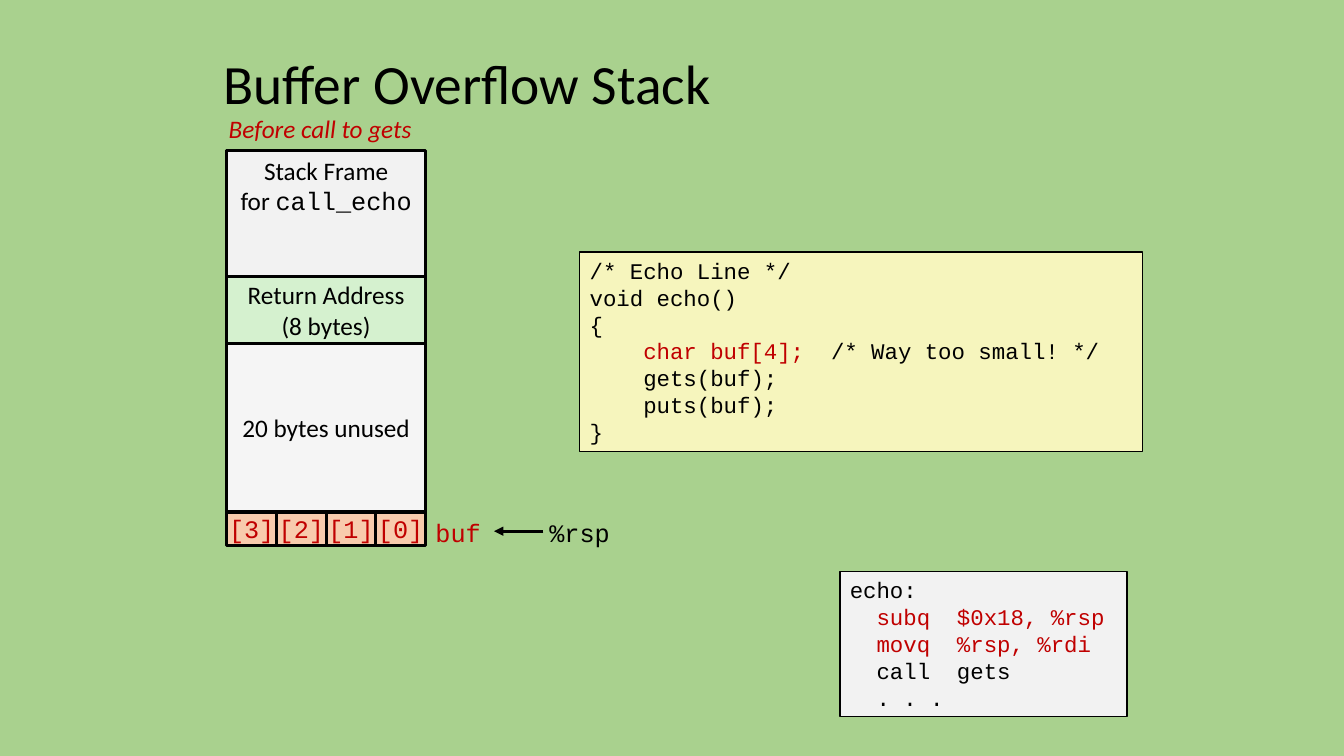
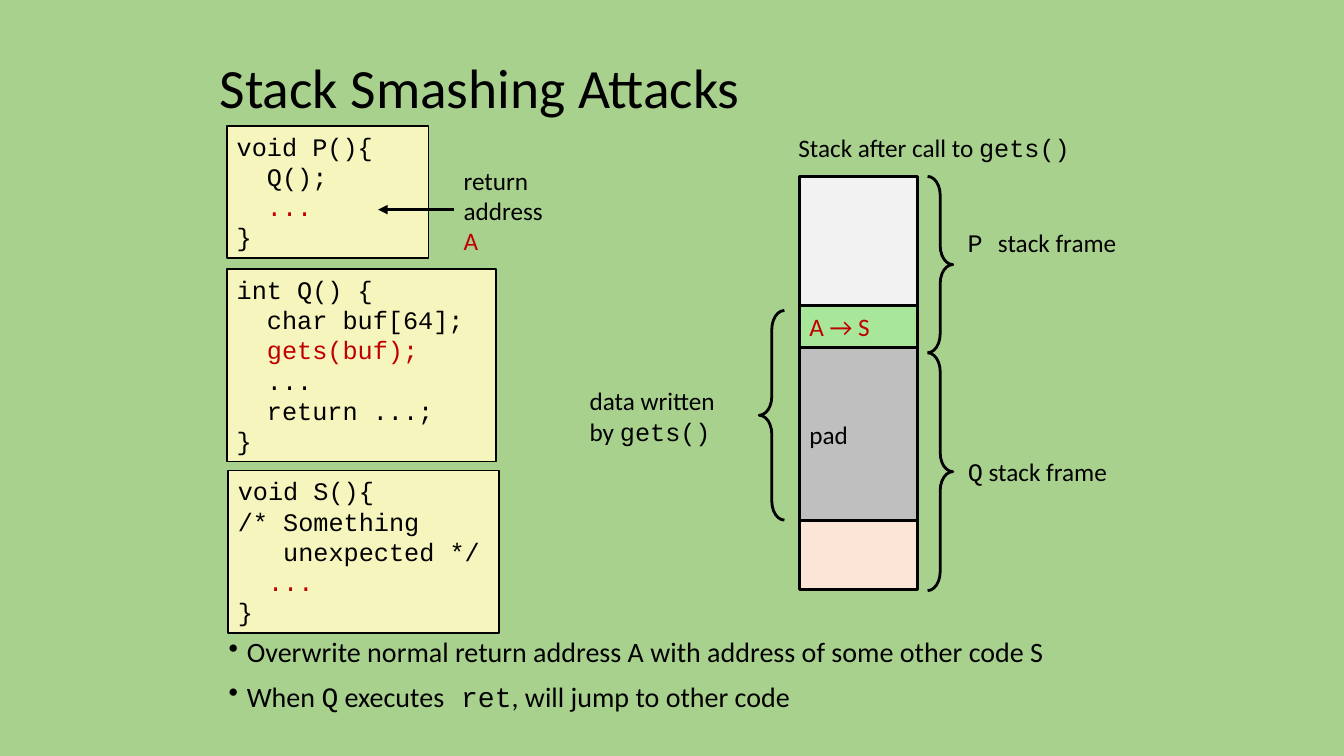
from lxml import etree
from pptx import Presentation
from pptx.dml.color import RGBColor
from pptx.enum.shapes import MSO_CONNECTOR as Connector, MSO_SHAPE as Shape
from pptx.enum.text import MSO_ANCHOR as Anchor, PP_ALIGN as Align
from pptx.oxml.ns import qn
from pptx.util import Inches, Pt

BLACK, RED = "000000", "C00000"
BACKGROUND, CODE_FILL, FRAME_FILL = "A9D18E", "F6F5BD", "F2F2F2"
SANS, MONO = "Calibri", "Courier New"


def rgb(value):
    """Turn a hex string into a colour."""
    return RGBColor.from_string(value)


def red(text):
    """Describe a red run."""
    return text, {"color": RED}


def mono(text):
    """Describe a run in the code font."""
    return text, {"font": MONO}


def write(shape, paragraphs, size=18, font=SANS, color=BLACK, italic=False,
          align=Align.LEFT, anchor=Anchor.TOP, wrap=False, spacing=None,
          before=None, bullet=False):
    """Fill a shape with paragraphs, each a string or a list of runs."""
    frame = shape.text_frame
    frame.word_wrap = wrap
    frame.vertical_anchor = anchor
    for index, runs in enumerate(paragraphs):
        paragraph = frame.paragraphs[0] if index == 0 else frame.add_paragraph()
        paragraph.alignment = align
        if spacing:
            paragraph.line_spacing = spacing
        if before:
            paragraph.space_before = Pt(before)
        if bullet:
            properties = paragraph._p.get_or_add_pPr()
            properties.set("marL", str(Inches(0.18)))
            properties.set("indent", str(-Inches(0.18)))
            etree.SubElement(properties, qn("a:buChar")).set("char", "•")
        for item in [runs] if isinstance(runs, str) else runs:
            text, changes = (item, {}) if isinstance(item, str) else item
            run = paragraph.add_run()
            run.text = text
            run.font.size = Pt(size)
            run.font.italic = italic
            run.font.name = changes.get("font", font)
            run.font.color.rgb = rgb(changes.get("color", color))


def add_label(slide, box, paragraphs, **text_format):
    """Add a text box."""
    label = slide.shapes.add_textbox(*map(Inches, box))
    write(label, paragraphs, **text_format)


def add_box(slide, box, fill, paragraphs=(), line=2.25, **text_format):
    """Add an outlined rectangle with text."""
    shape = slide.shapes.add_shape(Shape.RECTANGLE, *map(Inches, box))
    shape.shadow.inherit = False
    shape.fill.solid()
    shape.fill.fore_color.rgb = rgb(fill)
    shape.line.color.rgb = rgb(BLACK)
    shape.line.width = Pt(line)
    write(shape, paragraphs, **text_format)


def add_code(slide, box, lines, fill=CODE_FILL, size=18):
    """Add a thinly framed code listing."""
    add_box(slide, box, fill, lines, line=1, size=size, font=MONO, wrap=True)


def add_stack(slide, left, top, width, cells):
    """Pile up cells given as height, fill, paragraphs and text format."""
    for height, fill, paragraphs, text_format in cells:
        add_box(slide, (left, top, width, height), fill, paragraphs, **text_format)
        top += height


def add_brace(slide, kind, left, top, height):
    """Add a curly brace."""
    brace = slide.shapes.add_shape(
        kind, *map(Inches, (left, top, 0.25, height)))
    brace.shadow.inherit = False
    brace.fill.background()
    brace.line.color.rgb = rgb(BLACK)
    brace.line.width = Pt(2)
    brace.adjustments[0] = 0.75


def add_arrow(slide, start, end, y):
    """Add a horizontal arrow."""
    arrow = slide.shapes.add_connector(
        Connector.STRAIGHT, *map(Inches, (start, y, end, y)))
    arrow.line.color.rgb = rgb(BLACK)
    arrow.line.width = Pt(2.25)
    etree.SubElement(arrow.line._get_or_add_ln(), qn("a:tailEnd")).set("type", "triangle")
    etree.SubElement(arrow._element.spPr, qn("a:effectLst"))


def add_slide(presentation, title, left, top):
    """Add a green slide with its title."""
    slide = presentation.slides.add_slide(presentation.slide_layouts[6])
    slide.background.fill.solid()
    slide.background.fill.fore_color.rgb = rgb(BACKGROUND)
    add_label(slide, (left, top, 9.08, 0.63), [title], size=39.6,
              anchor=Anchor.MIDDLE, wrap=True, spacing=0.9)
    return slide


def add_echo_stack(slide, left, top, width):
    """Draw the stack before the call, with the buffer bytes below."""
    centered = {"align": Align.CENTER}
    middle = {"align": Align.CENTER, "anchor": Anchor.MIDDLE}
    add_label(slide, (left - 0.08, top - 0.41, 2.09, 0.4),
              ["Before call to gets"], color=RED, italic=True)
    add_stack(slide, left, top, width, [
        (1.25, FRAME_FILL, ["Stack Frame", ["for ", mono("call_echo")]], centered),
        (0.67, "D5F1CF", ["Return Address", "(8 bytes)"], middle),
        (1.67, "F5F5F5", ["20 bytes unused"], middle),
    ])
    row, right, byte_width = top + 3.59, left + width, width / 4
    for column in range(4):
        add_box(slide, (left + column * byte_width, row, byte_width, 0.33),
                "F8CBAD", [f"[{3 - column}]"], font=MONO, color=RED, **middle)
    add_label(slide, (right, row, 0.65, 0.4), ["buf"], font=MONO, color=RED)
    add_arrow(slide, right + 1.17, right + 0.68, row + 0.19)
    add_label(slide, (right + 1.13, row, 0.81, 0.4), ["%rsp"], font=MONO)


def add_smashed_stack(slide, left, top):
    """Draw the overwritten stack with its braces and labels."""
    middle = {"anchor": Anchor.MIDDLE}
    add_label(slide, (left - 0.11, top - 0.49, 2.93, 0.4),
              [["Stack after call to ", mono("gets()")]])
    add_stack(slide, left, top, 1.17, [
        (1.28, FRAME_FILL, [], {}),
        (0.42, "A8E799", ["A → S"], {"color": RED, **middle}),
        (1.71, "BFBFBF", ["pad"], middle),
        (0.69, "FBE5D6", [], {}),
    ])
    add_brace(slide, Shape.RIGHT_BRACE, left + 1.27, top, 1.75)
    add_brace(slide, Shape.RIGHT_BRACE, left + 1.27, top + 1.75, 2.36)
    add_brace(slide, Shape.LEFT_BRACE, left - 0.4, top + 1.33, 2.08)
    add_label(slide, (left + 1.57, top + 0.46, 1.7, 0.4),
              [[mono("P "), "stack frame"]], **middle)
    add_label(slide, (left + 1.57, top + 2.73, 1.61, 0.4),
              [[mono("Q"), " stack frame"]], **middle)
    add_label(slide, (left - 2.18, top + 2.02, 1.5, 0.71),
              ["data written", ["by ", mono("gets()")]], wrap=True, **middle)


def build_overflow(presentation):
    """Build the buffer overflow slide."""
    slide = add_slide(presentation, "Buffer Overflow Stack", 2.12, 0.54)
    add_echo_stack(slide, 2.25, 1.49, 1.97)
    add_code(slide, (5.75, 2.5, 5.58, 1.98), [
        "/* Echo Line */",
        "void echo()",
        "{",
        ["    ", red("char buf[4];  "), "/* Way too small! */"],
        "    gets(buf);",
        "    puts(buf);",
        "}",
    ], size=16)
    add_code(slide, (8.33, 5.67, 2.85, 1.44), [
        "echo:",
        [red("  subq  $0x18, %rsp")],
        [red("  movq  %rsp, %rdi")],
        "  call  gets",
        "  . . .",
    ], fill=FRAME_FILL, size=16)


def build_smashing(presentation):
    """Build the stack smashing slide."""
    slide = add_slide(presentation, "Stack Smashing Attacks", 2.08, 0.58)
    add_code(slide, (2.25, 1.25, 2, 1.31),
             ["void P(){", "  Q();", [red("  ...")], "}"])
    add_code(slide, (2.25, 2.67, 2.67, 1.91),
             ["int Q() {", "  char buf[64];", [red("  gets(buf);")],
              "  ...", "  return ...;", "}"])
    add_code(slide, (2.26, 4.67, 2.69, 1.61),
             ["void S(){", "/* Something", "   unexpected */",
              [red("  ...")], "}"])
    add_label(slide, (4.5, 1.58, 1, 1.01), ["return", "address", [red("A")]],
              anchor=Anchor.MIDDLE)
    add_arrow(slide, 4.5, 3.75, 2.08)
    add_smashed_stack(slide, 7.93, 1.75)
    add_label(slide, (2.17, 6.08, 9.03, 1.25), [
        "Overwrite normal return address A with address of some other code S",
        ["When ", mono("Q"), " executes", mono(" ret"), ", will jump to other code"],
    ], size=20, anchor=Anchor.MIDDLE, wrap=True, spacing=0.9, before=10, bullet=True)


def main():
    """Build and save the presentation."""
    presentation = Presentation()
    presentation.slide_width = Inches(13.33)
    presentation.slide_height = Inches(7.5)
    build_overflow(presentation)
    build_smashing(presentation)
    presentation.save("out.pptx")


main()
